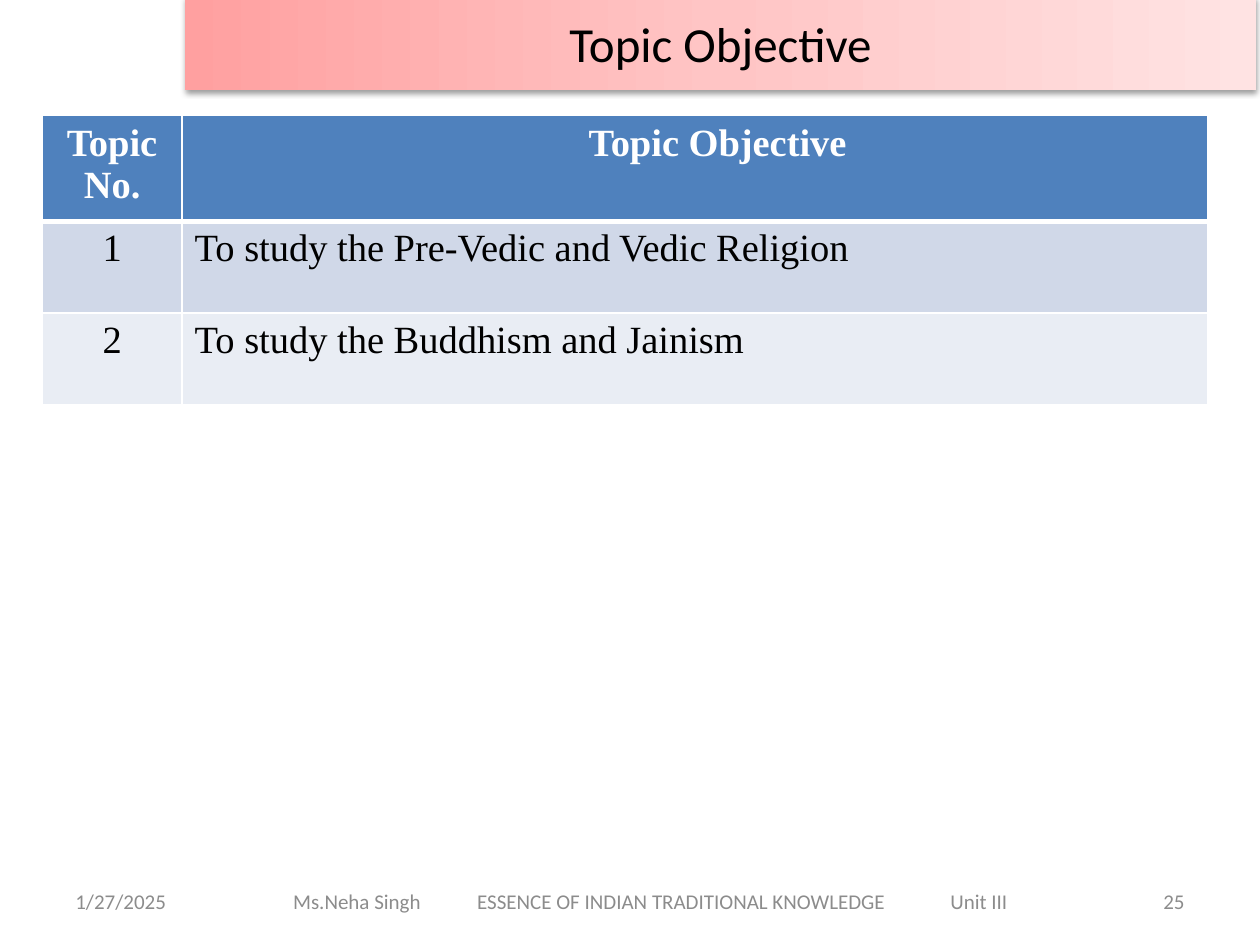
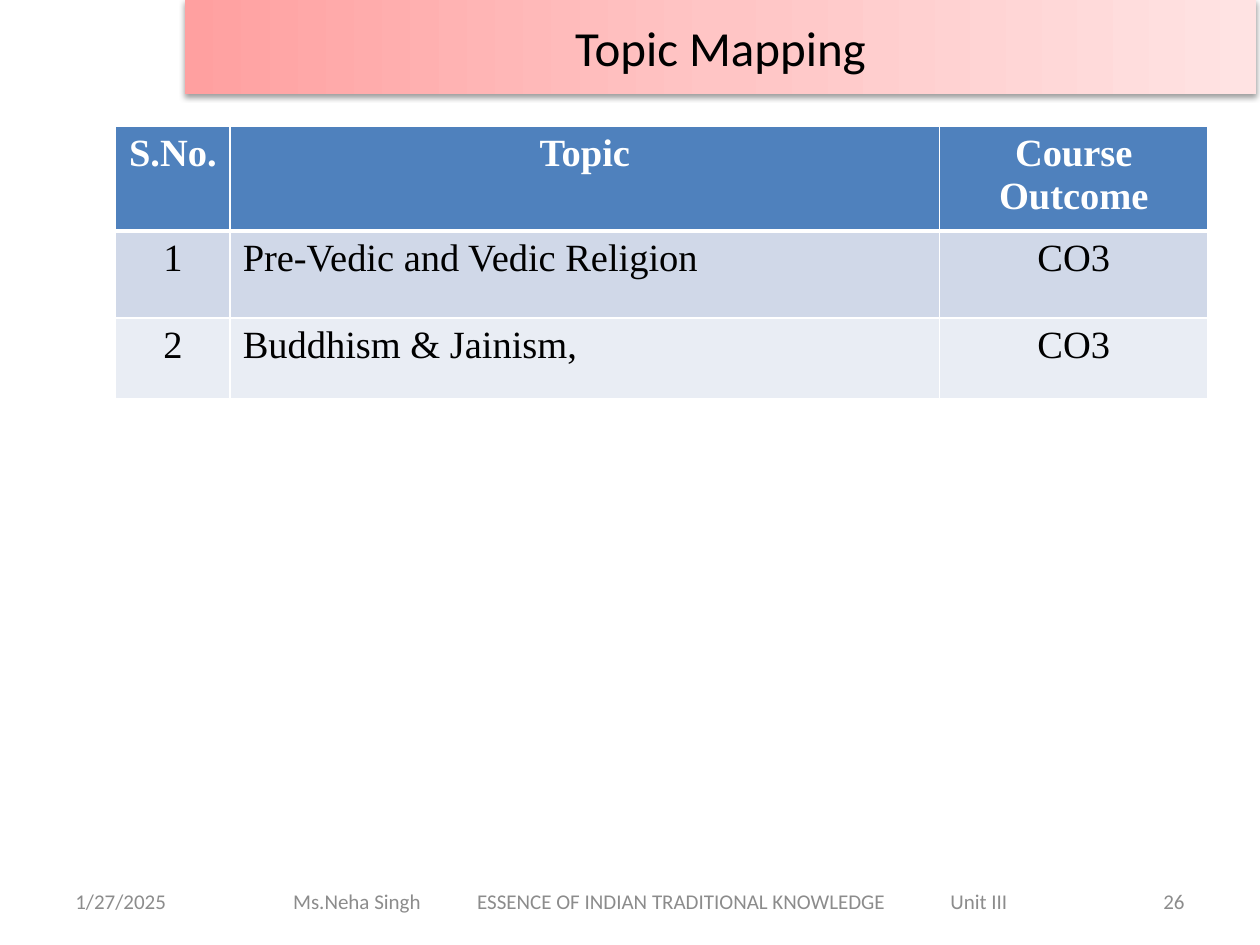
"""Build the topic objective and topic mapping slides."""
import dataclasses

import lxml.etree
import pptx
import pptx.dml.color
import pptx.enum.text
import pptx.oxml
import pptx.oxml.ns
import pptx.util

Cm = pptx.util.Cm
Align = pptx.enum.text.PP_ALIGN
Anchor = pptx.enum.text.MSO_ANCHOR
NAMESPACE = pptx.oxml.ns.nsdecls("a")


@dataclasses.dataclass(frozen=True)
class Theme:
    body_font: str = "Calibri"
    table_font: str = "Times New Roman"
    title_size: int = 28
    table_size: int = 22
    footer_size: int = 12
    black: str = "000000"
    white: str = "FFFFFF"
    footer_grey: str = "8C8C8C"
    header_blue: str = "4F81BD"
    row_bands: tuple = ("D0D8E8", "E9EDF4")
    title_gradient: tuple = ((0, "FFA0A0"), (50, "FFC5C5"), (100, "FFE3E3"))
    thin_border: int = 1
    thick_border: int = 3


def write_text(frame, text, *, font, size, color, bold=False, align=Align.LEFT, tabs=()):
    paragraph = frame.paragraphs[0]
    paragraph.text = text
    paragraph.alignment = align
    if tabs:
        tab_list = lxml.etree.SubElement(
            paragraph._p.get_or_add_pPr(), pptx.oxml.ns.qn("a:tabLst"))
        for position in tabs:
            lxml.etree.SubElement(
                tab_list, pptx.oxml.ns.qn("a:tab"), pos=str(Cm(position)), algn="l")
    for run in paragraph.runs:
        run.font.name = font
        run.font.size = pptx.util.Pt(size)
        run.font.bold = bold
        run.font.color.rgb = pptx.dml.color.RGBColor.from_string(color)


class Deck:
    def __init__(self, theme):
        self.theme = theme
        self.presentation = pptx.Presentation()
        self.presentation.slide_width = Cm(25.4)
        self.presentation.slide_height = Cm(19.05)
        self.slide = None

    def start_slide(self, title, title_top, number):
        self.slide = self.presentation.slides.add_slide(self.presentation.slide_layouts[5])
        self.add_footer(number)
        self.add_title(title, title_top)

    def add_title(self, text, top):
        theme = self.theme
        shape = self.slide.shapes.title
        shape.left, shape.top, shape.width, shape.height = Cm(3.73), Cm(top), Cm(21.59), Cm(1.9)
        frame = shape.text_frame
        frame.word_wrap = True
        frame.auto_size = pptx.enum.text.MSO_AUTO_SIZE.NONE
        frame.vertical_anchor = Anchor.MIDDLE
        write_text(frame, text, font=theme.body_font, size=theme.title_size,
                   color=theme.black, align=Align.CENTER)
        stops = "".join(
            f'<a:gs pos="{percent * 1000}"><a:srgbClr val="{color}"/></a:gs>'
            for percent, color in theme.title_gradient)
        gradient = (f'<a:gradFill {NAMESPACE} rotWithShape="1"><a:gsLst>{stops}</a:gsLst>'
                    '<a:lin ang="0" scaled="0"/></a:gradFill>')
        shadow = (f'<a:effectLst {NAMESPACE}><a:outerShdw blurRad="{pptx.util.Pt(3.1)}" '
                  f'dist="{pptx.util.Pt(1.6)}" dir="5400000" rotWithShape="0">'
                  f'<a:srgbClr val="{theme.black}"><a:alpha val="38000"/></a:srgbClr>'
                  '</a:outerShdw></a:effectLst>')
        for markup in (gradient, shadow):
            shape._element.spPr.append(pptx.oxml.parse_xml(markup))

    def add_footer_text(self, text, left, width, inset=0.25, **text_format):
        box = self.slide.shapes.add_textbox(Cm(left), Cm(17.65), Cm(width), Cm(1.02))
        frame = box.text_frame
        frame.word_wrap = True
        frame.margin_left = Cm(inset)
        frame.vertical_anchor = Anchor.MIDDLE
        write_text(frame, text, font=self.theme.body_font, size=self.theme.footer_size,
                   color=self.theme.footer_grey, **text_format)

    def add_footer(self, number):
        self.add_footer_text("1/27/2025", 1.27, 5.92)
        self.add_footer_text(
            "Ms.Neha Singh\tESSENCE OF INDIAN TRADITIONAL KNOWLEDGE\tUnit III",
            4.45, 17.35, inset=1.46, tabs=(3.71, 13.25))
        self.add_footer_text(str(number), 18.21, 5.92, align=Align.RIGHT)

    def set_borders(self, cell, row_index):
        theme = self.theme
        widths = dict.fromkeys("LRTB", theme.thin_border)
        if row_index == 0:
            widths["B"] = theme.thick_border
        elif row_index == 1:
            widths["T"] = theme.thick_border
        properties = cell._tc.get_or_add_tcPr()
        for side, width in widths.items():
            properties.append(pptx.oxml.parse_xml(
                f'<a:ln{side} {NAMESPACE} w="{pptx.util.Pt(width)}"><a:solidFill>'
                f'<a:srgbClr val="{theme.white}"/></a:solidFill></a:ln{side}>'))

    def add_table(self, rows, left, top, column_widths, row_heights):
        theme = self.theme
        table = self.slide.shapes.add_table(
            len(rows), len(column_widths), Cm(left), Cm(top),
            Cm(sum(column_widths)), Cm(sum(row_heights))).table
        for column, width in zip(table.columns, column_widths):
            column.width = Cm(width)
        for row_index, values in enumerate(rows):
            table.rows[row_index].height = Cm(row_heights[row_index])
            is_header = row_index == 0
            fill = theme.header_blue if is_header else theme.row_bands[(row_index - 1) % 2]
            for column_index, text in enumerate(values):
                cell = table.cell(row_index, column_index)
                self.set_borders(cell, row_index)
                cell.fill.solid()
                cell.fill.fore_color.rgb = pptx.dml.color.RGBColor.from_string(fill)
                is_topic = column_index == 1 and not is_header
                write_text(cell.text_frame, text, font=theme.table_font,
                           size=theme.table_size, bold=is_header,
                           color=theme.white if is_header else theme.black,
                           align=Align.JUSTIFY if is_topic else Align.CENTER)
        return table


def main():
    deck = Deck(Theme())

    deck.start_slide("Topic Objective", -0.08, 25)
    objectives = deck.add_table(
        [("Topic No.", "Topic Objective"),
         ("1", "To study the Pre-Vedic and Vedic Religion"),
         ("2", "To study the Buddhism and Jainism")],
        0.85, 2.33, (2.82, 20.67), (2.13, 1.85, 1.85))
    objectives.cell(0, 1).margin_left = Cm(1.18)

    deck.start_slide("Topic Mapping", 0, 26)
    deck.add_table(
        [("S.No.", "Topic", "Course Outcome"),
         ("1", "Pre-Vedic and Vedic Religion", "CO3"),
         ("2", "Buddhism & Jainism,", "CO3")],
        2.33, 2.54, (2.31, 14.3, 5.41), (2.06, 1.75, 1.63))

    deck.presentation.save("out.pptx")


if __name__ == "__main__":
    main()
